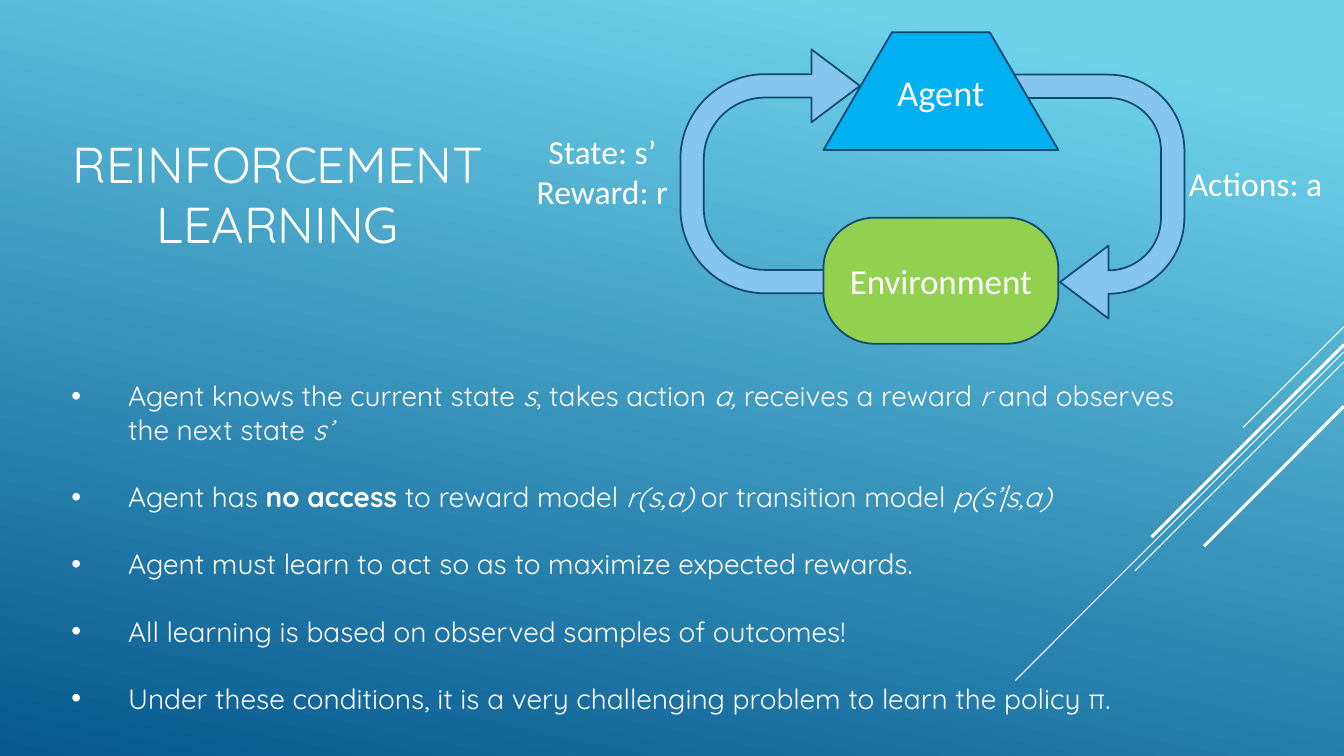
"""Build the reinforcement learning slide with its agent and environment loop."""
from dataclasses import dataclass

from lxml import etree
from pptx import Presentation
from pptx.dml.color import RGBColor
from pptx.enum.shapes import MSO_CONNECTOR, MSO_SHAPE
from pptx.enum.text import MSO_ANCHOR, PP_ALIGN
from pptx.oxml.ns import qn
from pptx.slide import Slide
from pptx.text.text import TextFrame, _Paragraph
from pptx.util import Pt

STRAIGHT = MSO_CONNECTOR.STRAIGHT
UTURN, ROUNDED, TRAPEZOID = MSO_SHAPE.U_TURN_ARROW, MSO_SHAPE.ROUNDED_RECTANGLE, MSO_SHAPE.TRAPEZOID
TOP, MIDDLE, BOTTOM = MSO_ANCHOR.TOP, MSO_ANCHOR.MIDDLE, MSO_ANCHOR.BOTTOM
LEFT, CENTER = PP_ALIGN.LEFT, PP_ALIGN.CENTER
WIDTH, HEIGHT = 960, 540
BULLET_INDENT = 40.5
BULLET_GAP = 24


@dataclass(frozen=True)
class Theme:
    """Colours, fonts and type sizes of the slide."""
    sky: str = "6ED2EB"
    deep: str = "06588E"
    white: str = "FFFFFF"
    outline: str = "0F496F"
    arrow: str = "86C5EF"
    agent: str = "00B0F0"
    environment: str = "92D050"
    body_font: str = "Quicksand"
    diagram_font: str = "Calibri"
    title_size: int = 36
    body_size: int = 20
    label_size: int = 24
    environment_size: int = 25
    agent_size: int = 26


THEME = Theme()


@dataclass(frozen=True)
class Frame:
    """Left, top, width and height in points."""
    left: float
    top: float
    width: float
    height: float

    def lengths(self) -> tuple[Pt, ...]:
        """Return the four sides as lengths."""
        return tuple(Pt(side) for side in (self.left, self.top, self.width, self.height))


@dataclass(frozen=True)
class Span:
    """A piece of text with its emphasis."""
    text: str
    bold: bool = False
    italic: bool = False


@dataclass(frozen=True)
class TextBlock:
    """A text box whose paragraphs are lists of spans."""
    frame: Frame
    paragraphs: list[list[Span]]
    font: str
    size: int
    anchor: MSO_ANCHOR = TOP
    align: PP_ALIGN = CENTER
    bulleted: bool = False


@dataclass(frozen=True)
class Node:
    """A filled shape of the loop, with an optional caption."""
    kind: MSO_SHAPE
    frame: Frame
    fill: str
    adjustments: tuple[float, ...]
    rotation: int = 0
    caption: str = ""
    size: int = 0
    anchor: MSO_ANCHOR = MIDDLE
    margin_top: float = 3.6


@dataclass(frozen=True)
class Streak:
    """A 45 degree line running down and left from the right edge."""
    top: float
    run: float
    weight: float


STREAKS = [
    Streak(233.3, 72, 0.75),
    Streak(251.3, 234.7, 0.75),
    Streak(258.5, 149.3, 0.75),
    Streak(246.2, 137.5, 2.25),
    Streak(290.2, 100, 2.25),
]

BULLETS = [
    [Span("Agent knows the current state "), Span("s", italic=True), Span(", takes action "),
     Span("a,", italic=True), Span(" receives a reward"), Span(" r ", italic=True),
     Span("and observes the next state "), Span("s’", italic=True)],
    [Span("Agent has "), Span("no access", bold=True), Span(" to reward model "),
     Span("r(s,a)", italic=True), Span(" or transition model "), Span("p(s’|s,a)", italic=True)],
    [Span("Agent must learn to act so as to maximize expected rewards.")],
    [Span("All learning is based on observed samples of outcomes!")],
    [Span("Under these conditions, it is a very challenging problem to learn the policy π.")],
]

NODES = [
    Node(UTURN, Frame(468, 53.3, 174.2, 138.2), THEME.arrow, (0.121, 0.188, 0.25, 0.438, 0.928), 270),
    Node(UTURN, Frame(689.8, 71.3, 174.2, 138.2), THEME.arrow, (0.121, 0.188, 0.25, 0.438, 0.643), 90),
    Node(ROUNDED, Frame(588.2, 155.5, 167.8, 90), THEME.environment, (0.406,),
         caption="Environment", size=THEME.environment_size),
    Node(TRAPEZOID, Frame(588.2, 23, 167.8, 84.2), THEME.agent, (0.582,),
         caption="Agent", size=THEME.agent_size, anchor=TOP, margin_top=11),
]

TEXTS = [
    TextBlock(Frame(29.5, 82.8, 337.7, 102.2), [[Span("REINFORCEMENT LEARNING")]],
              THEME.body_font, THEME.title_size, BOTTOM),
    TextBlock(Frame(43.9, 267.1, 825.8, 249.8), BULLETS,
              THEME.body_font, THEME.body_size, align=LEFT, bulleted=True),
    TextBlock(Frame(833.8, 113, 126, 36), [[Span("Actions: a")]], THEME.diagram_font, THEME.label_size),
    TextBlock(Frame(367.2, 90, 126, 65.5), [[Span("State: s’")], [Span("Reward: r")]],
              THEME.diagram_font, THEME.label_size),
]


def color(value: str) -> RGBColor:
    """Turn a hex string into a colour."""
    return RGBColor.from_string(value)


def apply(target: object, values: dict[str, object]) -> None:
    """Set each named attribute on the target."""
    for name, value in values.items():
        setattr(target, name, value)


def paint_background(page: Slide) -> None:
    """Fill the page with the sky gradient."""
    fill = page.background.fill
    fill.gradient()
    fill.gradient_angle = 258
    for stop, (position, shade) in zip(fill.gradient_stops, ((0.1, THEME.sky), (1, THEME.deep))):
        stop.position = position
        stop.color.rgb = color(shade)


def add_bullet(para: _Paragraph) -> None:
    """Give the paragraph a hanging bullet and a gap below."""
    para.space_after = Pt(BULLET_GAP)
    properties = para._p.get_or_add_pPr()
    properties.set("marL", str(Pt(BULLET_INDENT)))
    properties.set("indent", str(-Pt(BULLET_INDENT)))
    etree.SubElement(properties, qn("a:buFont")).set("typeface", "Arial")
    etree.SubElement(properties, qn("a:buChar")).set("char", "•")


def write_spans(para: _Paragraph, spans: list[Span], font: str, size: int) -> None:
    """Add the spans to the paragraph in white."""
    for span in spans:
        run = para.add_run()
        run.text = span.text
        apply(run.font, {"name": font, "size": Pt(size), "bold": span.bold, "italic": span.italic})
        run.font.color.rgb = color(THEME.white)


def write_block(text_frame: TextFrame, block: TextBlock) -> None:
    """Write all paragraphs of a block into a text frame."""
    apply(text_frame, {"word_wrap": True, "vertical_anchor": block.anchor})
    for index, spans in enumerate(block.paragraphs):
        para = text_frame.add_paragraph() if index else text_frame.paragraphs[0]
        para.alignment = block.align
        if block.bulleted:
            add_bullet(para)
        write_spans(para, spans, block.font, block.size)


def draw_streak(page: Slide, streak: Streak) -> None:
    """Draw one white diagonal line."""
    line = page.shapes.add_connector(STRAIGHT, Pt(WIDTH), Pt(streak.top),
                                     Pt(WIDTH - streak.run), Pt(streak.top + streak.run))
    line.line.color.rgb = color(THEME.white)
    line.line.width = Pt(streak.weight)
    etree.SubElement(line.element.spPr, qn("a:effectLst"))


def draw_node(page: Slide, node: Node) -> None:
    """Draw one shape of the loop."""
    shape = page.shapes.add_shape(node.kind, *node.frame.lengths())
    shape.shadow.inherit = False
    shape.rotation = node.rotation
    for index, value in enumerate(node.adjustments):
        shape.adjustments[index] = value
    shape.fill.solid()
    shape.fill.fore_color.rgb = color(node.fill)
    shape.line.color.rgb = color(THEME.outline)
    shape.line.width = Pt(1.25)
    if node.caption:
        shape.text_frame.margin_top = Pt(node.margin_top)
        write_block(shape.text_frame, TextBlock(node.frame, [[Span(node.caption)]],
                                                THEME.diagram_font, node.size, node.anchor))


def main() -> None:
    """Build and save the deck."""
    deck = Presentation()
    apply(deck, {"slide_width": Pt(WIDTH), "slide_height": Pt(HEIGHT)})
    page = deck.slides.add_slide(deck.slide_layouts[6])
    paint_background(page)
    for streak in STREAKS:
        draw_streak(page, streak)
    for node in NODES:
        draw_node(page, node)
    for block in TEXTS:
        write_block(page.shapes.add_textbox(*block.frame.lengths()).text_frame, block)
    deck.save("out.pptx")


if __name__ == "__main__":
    main()
